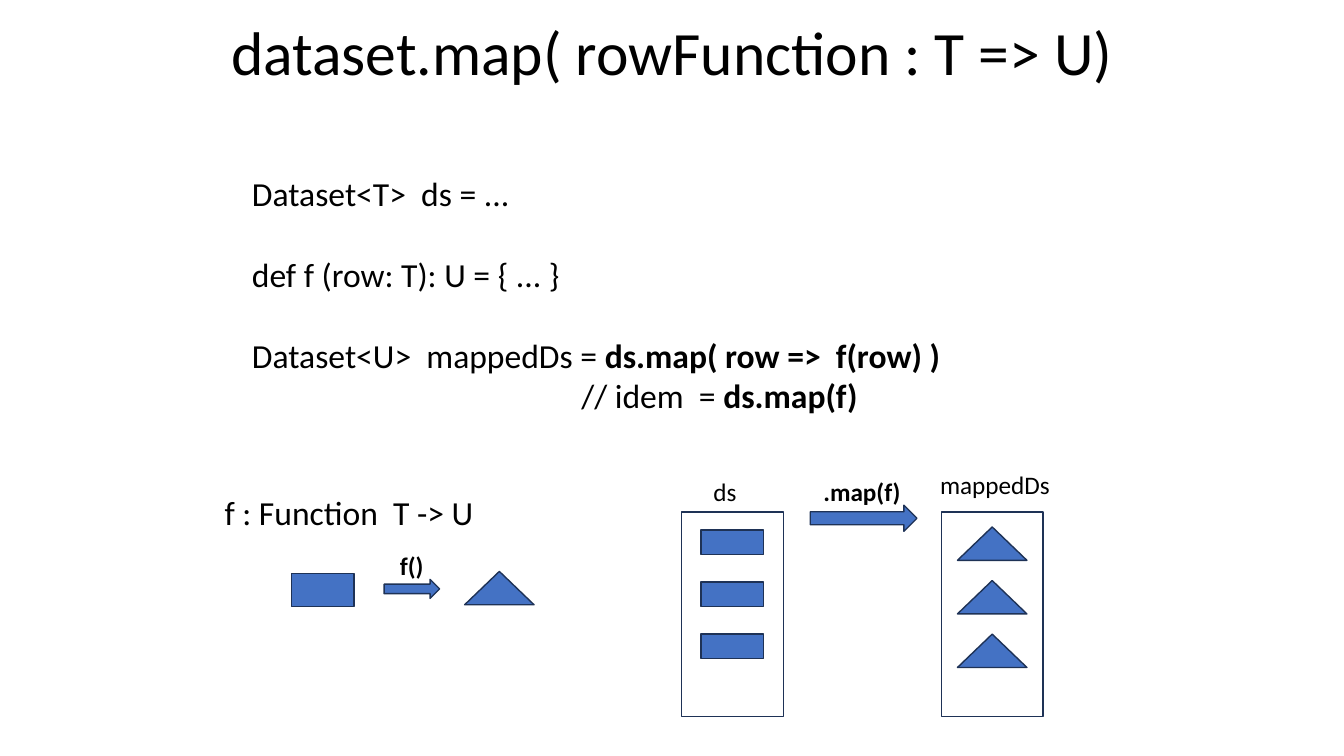
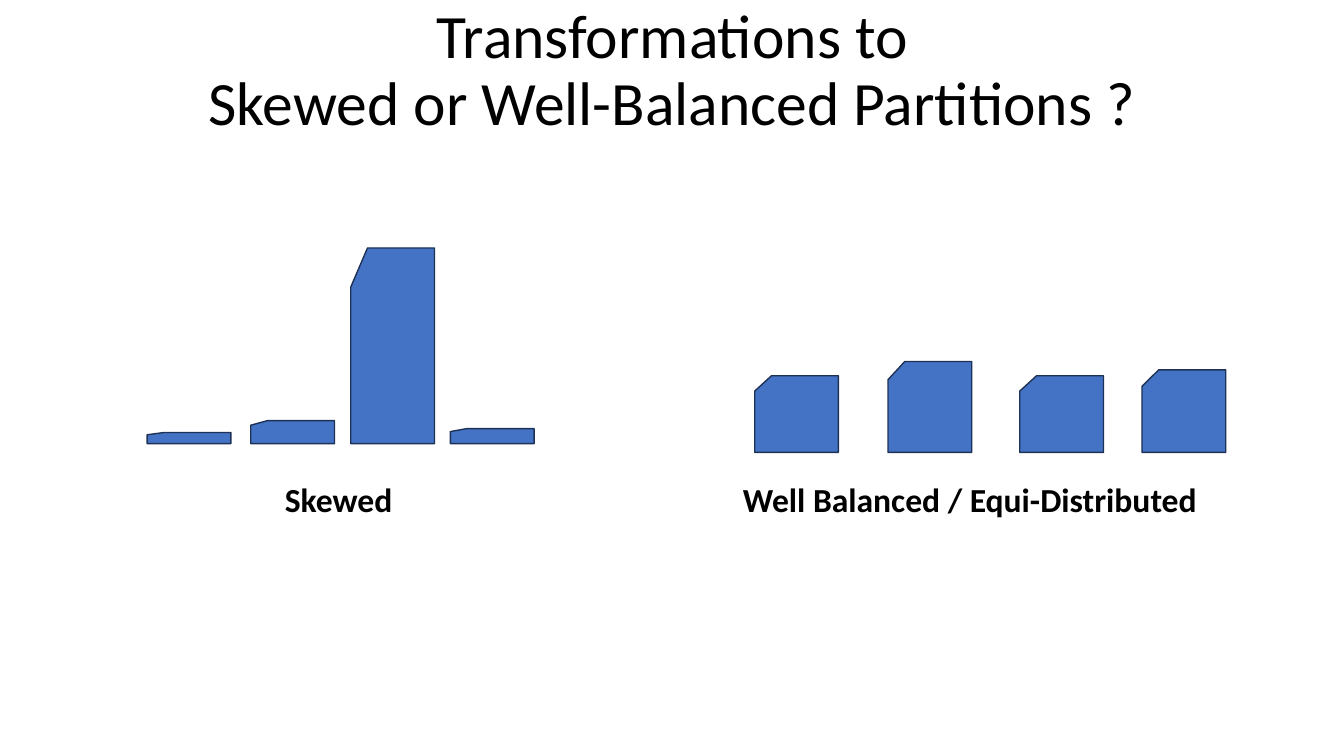
from pptx import Presentation
from pptx.dml.color import RGBColor
from pptx.enum.shapes import MSO_SHAPE
from pptx.enum.text import MSO_ANCHOR, MSO_AUTO_SIZE, PP_ALIGN
from pptx.util import Cm, Pt

RECT = MSO_SHAPE.RECTANGLE
TRIANGLE = MSO_SHAPE.ISOSCELES_TRIANGLE
ARROW = MSO_SHAPE.RIGHT_ARROW
CARD = MSO_SHAPE.FLOWCHART_CARD
MIDDLE = MSO_ANCHOR.MIDDLE
CENTER = PP_ALIGN.CENTER
NO_AUTOSIZE = MSO_AUTO_SIZE.NONE

BLACK = RGBColor(0x00, 0x00, 0x00)
BLUE = RGBColor(0x44, 0x72, 0xC4)
NAVY = RGBColor(0x1E, 0x32, 0x56)
FONT = "Calibri"
TITLE_ONLY = 5

ROW_W, ROW_H = 1.58, 0.61
TRIANGLE_W, TRIANGLE_H = 1.75, 0.84
DATASET_TOP, DATASET_W, DATASET_H = 12.9, 2.57, 5.16
BAR_W = 2.11


def set_font(p, size, bold=False):
    """Give a paragraph the deck's font in black."""
    p.font.name, p.font.size, p.font.bold = FONT, Pt(size), bold
    p.font.color.rgb = BLACK


def add_titled_slide(prs, title, height):
    """Add a title-only slide with a centred title."""
    s = prs.slides.add_slide(prs.slide_layouts[TITLE_ONLY])
    sp = s.shapes.title
    sp.left, sp.top, sp.width, sp.height = Cm(2.34), Cm(0.25), Cm(29.21), Cm(height)
    tf = sp.text_frame
    tf.text = title
    tf.auto_size, tf.vertical_anchor = NO_AUTOSIZE, MIDDLE
    p = tf.paragraphs[0]
    p.alignment, p.line_spacing = CENTER, 0.9
    set_font(p, 44)
    return s


def add_shape(s, kind, left, top, width, height, filled=True):
    """Add an outlined shape, blue unless left unfilled."""
    sp = s.shapes.add_shape(kind, Cm(left), Cm(top), Cm(width), Cm(height))
    sp.shadow.inherit = False
    if filled:
        sp.fill.solid()
        sp.fill.fore_color.rgb = BLUE
    else:
        sp.fill.background()
    sp.line.color.rgb, sp.line.width = NAVY, Pt(1)


def add_label(s, text, left, top, width, size=18, bold=False):
    """Add a one-line label."""
    box = s.shapes.add_textbox(Cm(left), Cm(top), Cm(width), Cm(size * 0.055))
    tf = box.text_frame
    tf.word_wrap = False
    tf.text = text
    set_font(tf.paragraphs[0], size, bold)


def add_code(s, lines, left, top, width, height):
    """Add code lines given as plain text, bold text, space before and indent."""
    box = s.shapes.add_textbox(Cm(left), Cm(top), Cm(width), Cm(height))
    tf = box.text_frame
    tf.word_wrap = True
    for i, (plain, bold, gap, indent) in enumerate(lines):
        p = tf.paragraphs[0] if i == 0 else tf.add_paragraph()
        set_font(p, 24)
        p.space_before = Pt(gap)
        p._p.get_or_add_pPr().set("marL", str(Cm(indent)))
        p.add_run().text = plain
        if bold:
            r = p.add_run()
            r.text, r.font.bold = bold, True


def add_dataset(s, left, kind, width, height, first_top, pitch):
    """Add a dataset frame holding three centred rows."""
    add_shape(s, RECT, left, DATASET_TOP, DATASET_W, DATASET_H, filled=False)
    row_left = left + (DATASET_W - width) / 2
    for i in range(3):
        add_shape(s, kind, row_left, first_top + i * pitch, width, height)


def add_bars(s, baseline, bars):
    """Add partition bars, given as left and height, standing on a baseline."""
    for left, height in bars:
        add_shape(s, CARD, left, baseline - height, BAR_W, height)


def build_map_slide(prs):
    """Build the slide on mapping a dataset."""
    s = add_titled_slide(prs, "dataset.map( rowFunction : T => U)", 2.29)
    add_code(s, [
        ("Dataset<T>  ds = ...", "", 0, 0),
        ("def f (row: T): U = { ... }", "", 29, 0),
        ("Dataset<U>  mappedDs = ", "ds.map( row =>  f(row) )", 29, 0),
        ("// idem  = ", "ds.map(f)", 0, 8.3),
    ], 6.1, 4.24, 18.21, 7.44)

    add_label(s, "f : Function  T -> U", 5.41, 12.27, 6.83, size=24)
    add_shape(s, RECT, 7.34, 14.45, ROW_W, TRIANGLE_H)
    add_shape(s, ARROW, 9.68, 14.6, 1.4, 0.48)
    add_shape(s, TRIANGLE, 11.71, 14.4, TRIANGLE_W, TRIANGLE_H)
    add_label(s, "f()", 9.83, 13.74, 1.12, bold=True)

    add_dataset(s, 17.17, RECT, ROW_W, ROW_H, 13.36, 1.31)
    add_dataset(s, 23.72, TRIANGLE, TRIANGLE_W, TRIANGLE_H, 13.28, 1.35)
    add_shape(s, ARROW, 20.42, 12.73, 2.69, 0.66)
    add_label(s, "ds", 17.73, 11.89, 1.09)
    add_label(s, "mappedDs", 23.44, 11.71, 3.3)
    add_label(s, ".map(f)", 20.5, 11.89, 2.49, bold=True)


def build_partitions_slide(prs):
    """Build the slide comparing skewed and balanced partitions."""
    s = add_titled_slide(
        prs, "Transformations to\vSkewed or Well-Balanced Partitions ?", 3.12)
    add_bars(s, 11.18, [(3.71, 0.28), (6.32, 0.58), (8.84, 4.93), (11.35, 0.38)])
    add_bars(s, 11.4, [(19.02, 1.93), (22.38, 2.29), (25.7, 1.93), (28.78, 2.08)])
    add_label(s, "Skewed", 6.93, 11.94, 3.25, size=24, bold=True)
    add_label(s, "Well Balanced / Equi-Distributed", 18.47, 11.94, 12.07,
              size=24, bold=True)


def main():
    """Build and save the presentation."""
    prs = Presentation()
    prs.slide_width, prs.slide_height = Cm(33.87), Cm(19.05)
    build_map_slide(prs)
    build_partitions_slide(prs)
    prs.save("out.pptx")


if __name__ == "__main__":
    main()
